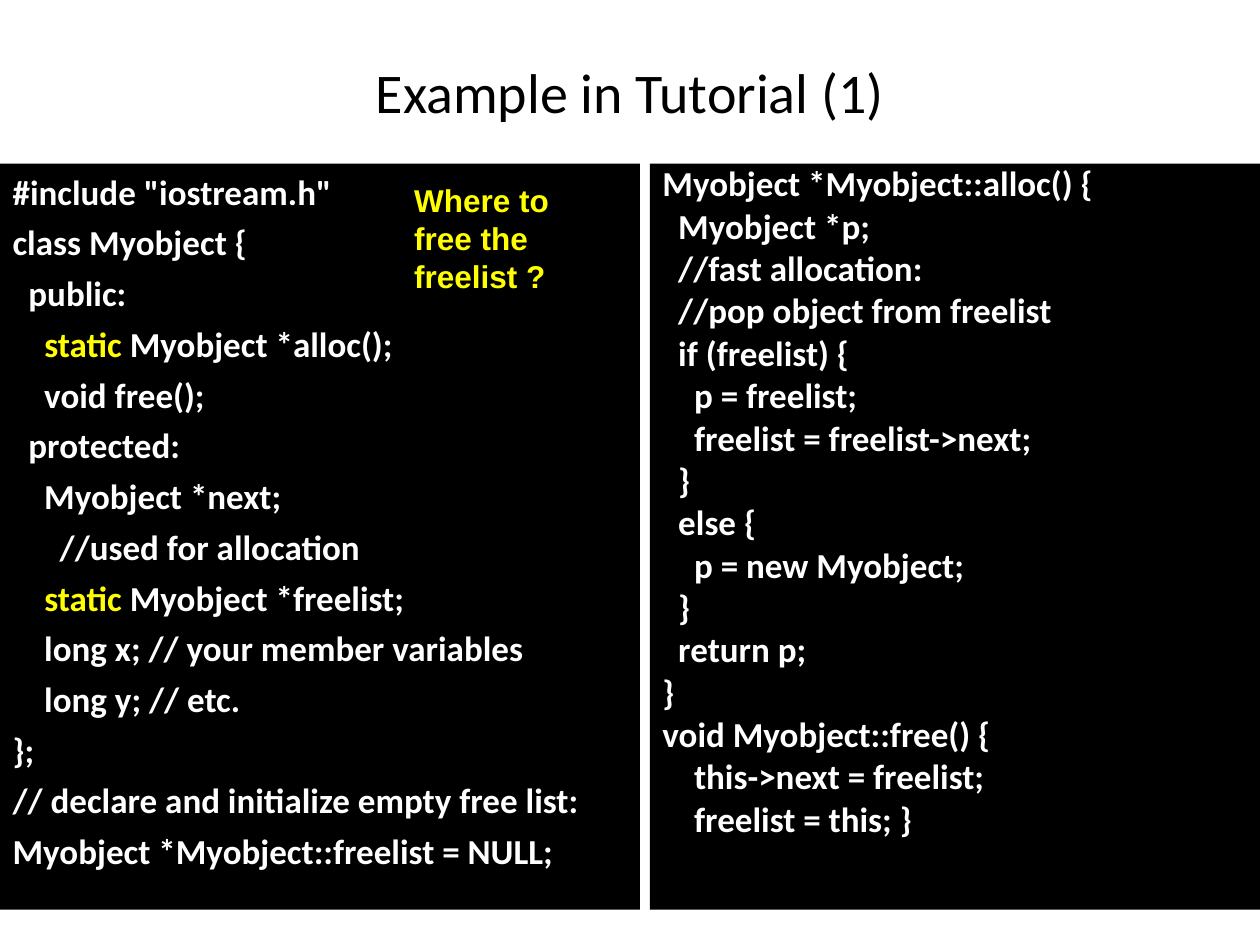
from dataclasses import dataclass

from lxml.etree import SubElement
from pptx import Presentation
from pptx.dml.color import RGBColor
from pptx.enum.text import MSO_ANCHOR, MSO_AUTO_SIZE, PP_ALIGN
from pptx.oxml.ns import qn
from pptx.util import Cm, Pt


@dataclass(frozen=True)
class Theme:
    """Colours, fonts and type sizes of the slide."""
    ink: RGBColor = RGBColor(0, 0, 0)
    paper: RGBColor = RGBColor(255, 255, 255)
    mark: RGBColor = RGBColor(255, 255, 0)
    main: str = "Calibri"
    side: str = "Arial"
    head: int = 32
    code: int = 20
    note: int = 18


THEME = Theme()

CLASS = """#include "iostream.h"
class Myobject {
  public:
    static Myobject *alloc();
    void free();
  protected:
    Myobject *next;
\t//used for allocation
    static Myobject *freelist;
    long x; // your member variables
    long y; // etc.
};
// declare and initialize empty free list:
Myobject *Myobject::freelist = NULL;"""

METHODS = """Myobject *Myobject::alloc() {
  Myobject *p;
  //fast allocation:
  //pop object from freelist
  if (freelist) {
    p = freelist;
    freelist = freelist->next;
  }
  else {
    p = new Myobject;
  }
  return p;
}
void Myobject::free() {
    this->next = freelist;
    freelist = this; }"""


def place(shape, box):
    """Move a shape to a box of left, top, width and height in cm."""
    shape.left, shape.top, shape.width, shape.height = map(Cm, box)


def style(item, face, size, tint, bold=False):
    """Set the font of a paragraph."""
    font = item.font
    font.name, font.size, font.bold = face, Pt(size), bold
    font.color.rgb = tint


def label(shape, box, text, face, size, tint, bold=False,
          align=PP_ALIGN.LEFT, anchor=MSO_ANCHOR.MIDDLE):
    """Fill a box with one styled paragraph."""
    place(shape, box)
    frame = shape.text_frame
    frame.word_wrap, frame.auto_size = True, MSO_AUTO_SIZE.NONE
    frame.vertical_anchor = anchor
    frame.text = text
    item = frame.paragraphs[0]
    item.alignment = align
    style(item, face, size, tint, bold)


def listing(shape, box, code, pitch, word="static"):
    """Set code in a dark panel, with one keyword highlighted."""
    place(shape, box)
    shape.fill.solid()
    shape.fill.fore_color.rgb = THEME.ink
    frame = shape.text_frame
    frame.auto_size = MSO_AUTO_SIZE.NONE
    for row, line in enumerate(code.split("\n")):
        item = frame.add_paragraph() if row else frame.paragraphs[0]
        props = item._p.get_or_add_pPr()
        props.set("marL", str(Cm(0.95)))
        props.set("indent", str(Cm(-0.95)))
        SubElement(props, qn("a:buNone"))
        item.line_spacing = pitch
        item.space_before = Pt(5 if row else 0)
        style(item, THEME.main, THEME.code, THEME.paper, True)
        lead, key, rest = line.partition(word)
        for text in filter(None, (lead, key, rest)):
            run = item.add_run()
            run.text = text
            if text == word:
                run.font.color.rgb = THEME.mark


def main():
    """Build and save the slide."""
    deck = Presentation()
    deck.slide_width, deck.slide_height = Cm(25.4), Cm(19.05)
    slide = deck.slides.add_slide(deck.slide_layouts[3])
    title, left, right = slide.placeholders
    top, high = 3.3, 15.04
    label(title, (0, 0.76, 25.4, 2.16), "Example in Tutorial (1)",
          THEME.main, THEME.head, THEME.ink, align=PP_ALIGN.CENTER)
    listing(left, (0, top, 12.9, high), CLASS, 1.0)
    listing(right, (13.1, top, 12.3, high), METHODS, 0.8)
    box = (8.1, 3.53, 3.61, 2.54)
    note = slide.shapes.add_textbox(*map(Cm, box))
    label(note, box, "Where to free the freelist ?", THEME.side, THEME.note,
          THEME.mark, True, anchor=MSO_ANCHOR.TOP)
    deck.save("out.pptx")


if __name__ == "__main__":
    main()
